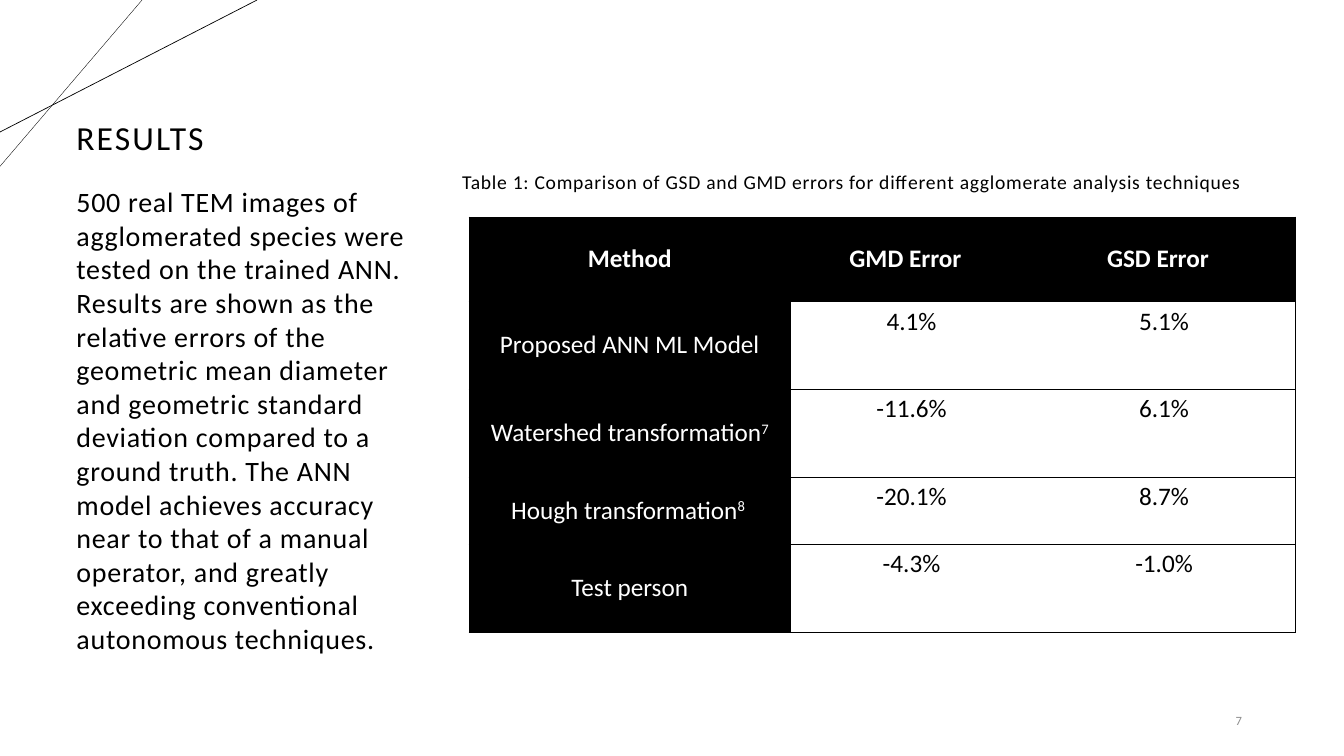
from lxml import etree
from pptx import Presentation
from pptx.dml.color import RGBColor
from pptx.enum.shapes import MSO_CONNECTOR
from pptx.enum.text import MSO_ANCHOR, PP_ALIGN
from pptx.oxml.ns import qn
from pptx.util import Pt

LEFT, CENTER, RIGHT = PP_ALIGN.LEFT, PP_ALIGN.CENTER, PP_ALIGN.RIGHT
TOP, MIDDLE = MSO_ANCHOR.TOP, MSO_ANCHOR.MIDDLE
STRAIGHT = MSO_CONNECTOR.STRAIGHT

FONT = "Calibri"
BLACK, WHITE, GRAY = "000000", "FFFFFF", "8C8C8C"

SUMMARY = (
    "500 real TEM images of agglomerated species were tested on the trained ANN. "
    "Results are shown as the relative errors of the geometric mean diameter and "
    "geometric standard deviation compared to a ground truth. The ANN model achieves "
    "accuracy near to that of a manual operator, and greatly exceeding conventional "
    "autonomous techniques."
)
CAPTION = (
    "Table 1: Comparison of GSD and GMD errors for different agglomerate "
    "analysis techniques"
)
HEADINGS = ["Method", "GMD Error", "GSD Error"]
# Method, reference number, GMD error, GSD error
RESULTS = [
    ("Proposed ANN ML Model", "", "4.1%", "5.1%"),
    ("Watershed transformation", "7", "-11.6%", "6.1%"),
    ("Hough transformation", "8 ", "-20.1%", "8.7%"),
    ("Test person", "", "-4.3%", "-1.0%"),
]
COLUMN_WIDTHS = [229.7, 164.2, 196.6]
ROW_HEIGHTS = [60.3, 62.8, 62.8, 47.9, 62.8]


def color(hex_string):
    return RGBColor.from_string(hex_string)


def write_text(frame, text, superscript="", size=18, ink=BLACK, bold=False, align=LEFT,
               tracking=0, line_spacing=None, space_before=None, first_indent=0):
    """Fill the frame's first paragraph; tracking and first_indent are in points."""
    paragraph = frame.paragraphs[0]
    paragraph.alignment = align
    paragraph.line_spacing = line_spacing
    if space_before is not None:
        paragraph.space_before = Pt(space_before)
    if first_indent:
        paragraph._p.get_or_add_pPr().set("indent", str(Pt(first_indent)))
    for part, baseline in ((text, 0), (superscript, 30000)):
        if not part:
            continue
        run = paragraph.add_run()
        run.text = part
        run.font.name = FONT
        run.font.size = Pt(size)
        run.font.bold = bold
        run.font.color.rgb = color(ink)
        properties = run._r.get_or_add_rPr()
        if tracking:
            properties.set("spc", str(int(tracking * 100)))
        if baseline:
            properties.set("baseline", str(baseline))


def add_text(slide, box, text, anchor=TOP, top_inset=3.6, **text_format):
    frame = slide.shapes.add_textbox(*map(Pt, box)).text_frame
    frame.word_wrap = True
    frame.vertical_anchor = anchor
    frame.margin_top = Pt(top_inset)
    write_text(frame, text, **text_format)


def add_accent_line(slide, start, end, width):
    line = slide.shapes.add_connector(STRAIGHT, *map(Pt, start + end))
    line.line.color.rgb = color(BLACK)
    line.line.width = Pt(width)
    etree.SubElement(line._element.spPr, qn("a:effectLst"))


def set_borders(cell, sides):
    """Draw a thin black line on the given sides (of "LRTB") and none on the others."""
    properties = cell._tc.get_or_add_tcPr()
    for side in "LRTB":
        border = etree.SubElement(properties, qn("a:ln" + side), w=str(Pt(0.5)))
        if side in sides:
            fill = etree.SubElement(border, qn("a:solidFill"))
            etree.SubElement(fill, qn("a:srgbClr"), val=BLACK)
        else:
            etree.SubElement(border, qn("a:noFill"))


def format_dark_cell(cell, text, superscript="", bold=False):
    cell.fill.solid()
    cell.fill.fore_color.rgb = color(BLACK)
    cell.vertical_anchor = MIDDLE
    write_text(cell.text_frame, text, superscript, ink=WHITE, bold=bold, align=CENTER)


def format_value_cell(cell, text):
    cell.fill.background()
    cell.margin_left = cell.margin_right = Pt(5)
    cell.margin_top = cell.margin_bottom = 0
    write_text(cell.text_frame, text, align=CENTER, line_spacing=1.15, first_indent=8.64)


def add_error_table(slide, left, top):
    table = slide.shapes.add_table(
        len(ROW_HEIGHTS), len(COLUMN_WIDTHS), Pt(left), Pt(top),
        Pt(sum(COLUMN_WIDTHS)), Pt(sum(ROW_HEIGHTS))).table
    table.first_row = table.horz_banding = False
    for column, width in zip(table.columns, COLUMN_WIDTHS):
        column.width = Pt(width)
    for row, height in zip(table.rows, ROW_HEIGHTS):
        row.height = Pt(height)
        for cell, sides in zip(row.cells, ("LTB", "TB", "RTB")):
            set_borders(cell, sides)

    for column, heading in enumerate(HEADINGS):
        format_dark_cell(table.cell(0, column), heading, bold=True)
    for row, (method, reference, *errors) in enumerate(RESULTS, start=1):
        format_dark_cell(table.cell(row, 0), method, reference)
        for column, error in enumerate(errors, start=1):
            format_value_cell(table.cell(row, column), error)


def main():
    presentation = Presentation()
    presentation.slide_width, presentation.slide_height = Pt(960), Pt(540)
    slide = presentation.slides.add_slide(presentation.slide_layouts[6])

    add_accent_line(slide, (101.5, 0), (0, 118.8), 0.25)
    add_accent_line(slide, (183.6, 0), (0, 94.3), 0.5)
    add_text(slide, (47.5, 23.8, 255.6, 151.2), "RESULTS", anchor=MIDDLE,
             size=24, tracking=1.5, line_spacing=0.9)
    add_text(slide, (47.5, 131.8, 265.7, 368.6), SUMMARY, top_inset=0,
             size=20, tracking=0.5, space_before=10)
    add_error_table(slide, 335, 155)
    add_text(slide, (816.5, 500.4, 77.8, 28.8), "7", anchor=MIDDLE,
             size=9, ink=GRAY, align=RIGHT)
    add_text(slide, (323, 118.1, 630.7, 24.5), CAPTION, size=14, tracking=0.5)

    presentation.save("out.pptx")


if __name__ == "__main__":
    main()
